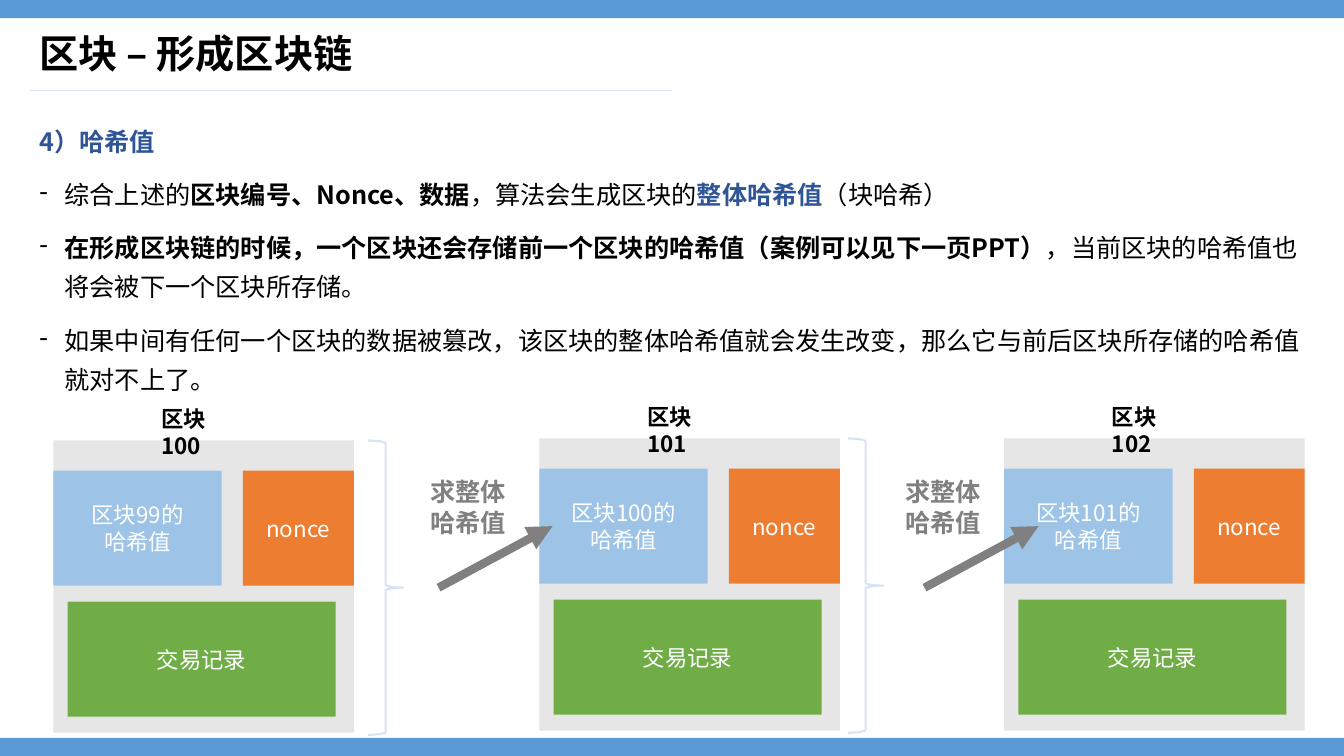
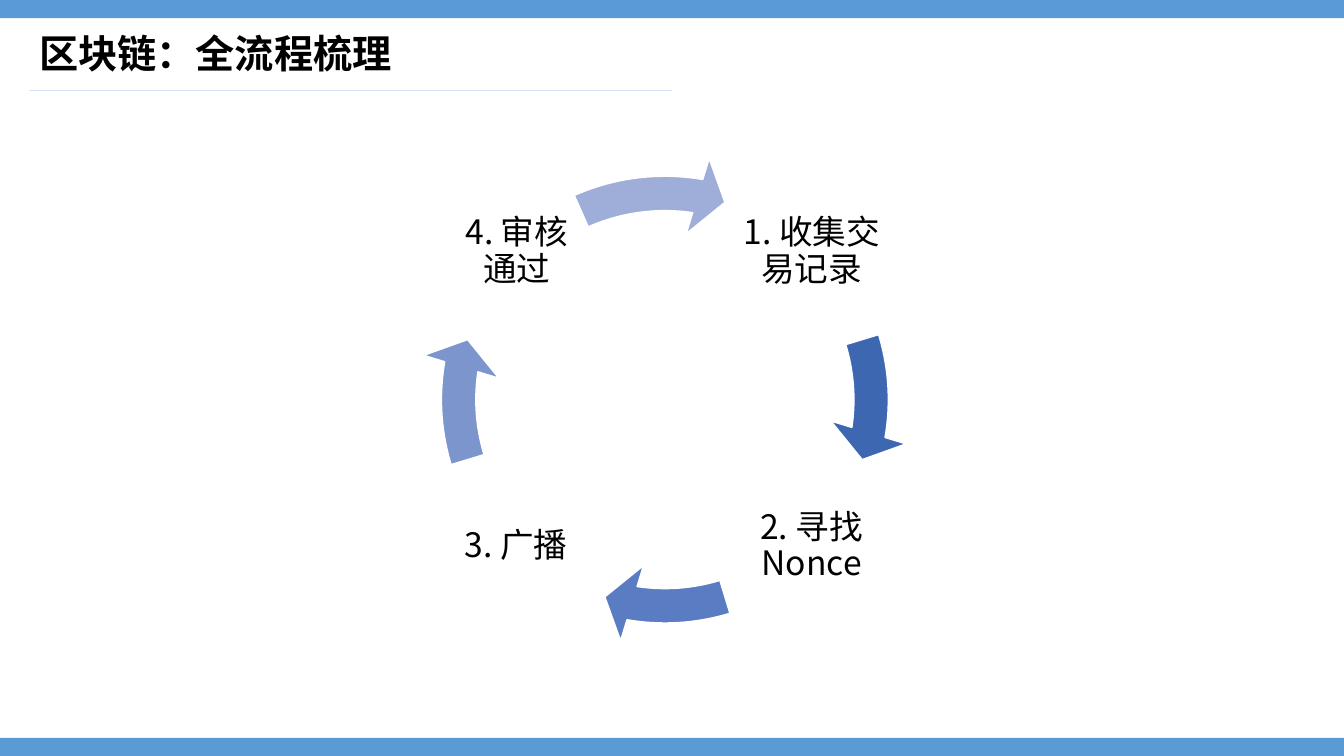
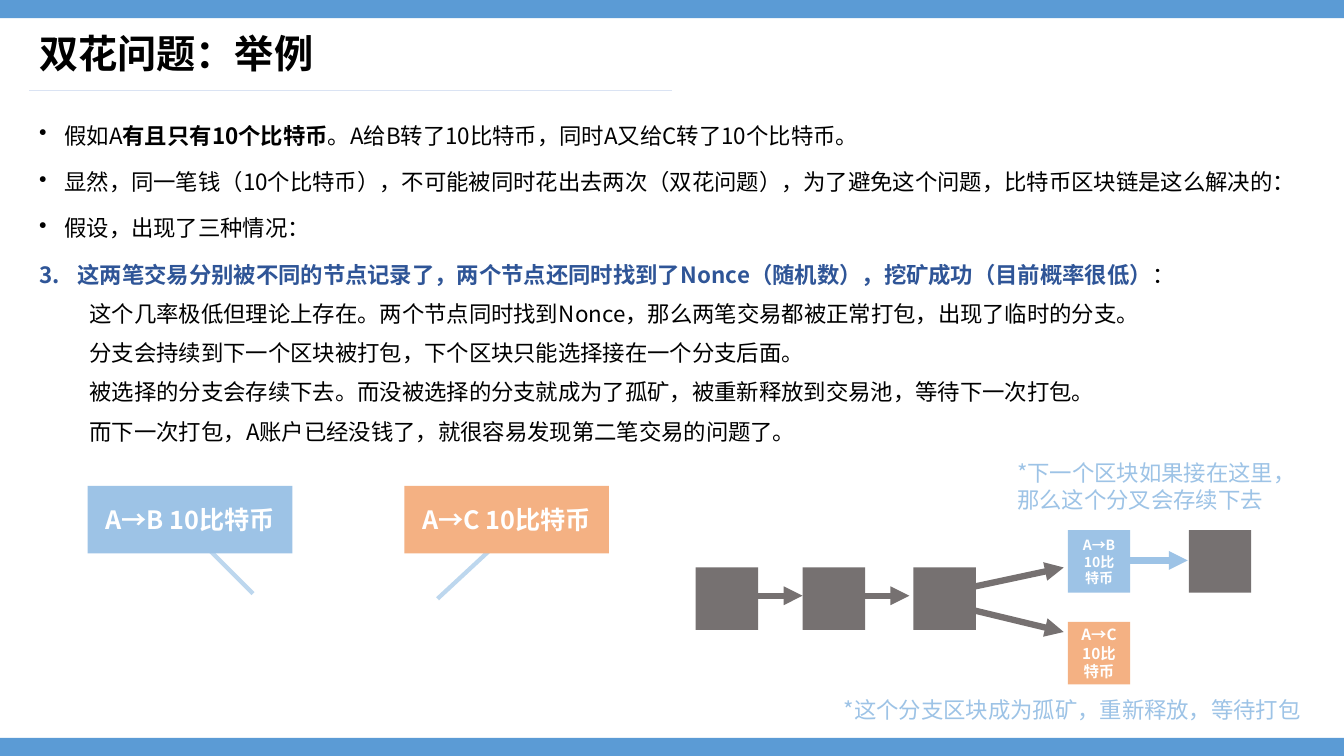
from dataclasses import dataclass

from lxml.etree import SubElement
from pptx import Presentation
from pptx.dml.color import RGBColor
from pptx.enum.shapes import MSO_CONNECTOR, MSO_SHAPE
from pptx.enum.text import MSO_ANCHOR, PP_ALIGN
from pptx.oxml.ns import qn
from pptx.util import Inches, Pt


@dataclass(frozen=True)
class Theme:
    font: str = "Noto Sans CJK SC"
    # Colours
    band: str = "5B9BD5"
    rule: str = "DAE3F3"
    text: str = "000000"
    key: str = "2F5597"
    white: str = "FFFFFF"
    panel: str = "E7E6E6"
    sky: str = "9DC3E6"
    pale_sky: str = "BDD7EE"
    orange: str = "ED7D31"
    peach: str = "F4B183"
    green: str = "70AD47"
    grey: str = "808080"
    stone: str = "767171"
    cycle: tuple = ("3E67B2", "5A7CC3", "7D95CD", "9FAED8")
    # Type sizes
    title: int = 28
    step: int = 24
    large: int = 18
    normal: int = 16


THEME = Theme()
BOLD = {"bold": True}
KEY = {"bold": True, "color": THEME.key}


@dataclass
class Item:
    """One paragraph: runs are strings or (string, format) pairs."""
    runs: list
    left: float = 0
    hanging: float = 0
    before: float = 0
    bullet: str = ""
    number: int = 0


def rgb(value):
    return RGBColor.from_string(value)


def format_run(run, size, color, bold):
    run.font.size = Pt(size)
    run.font.bold = bold
    run.font.color.rgb = rgb(color)
    run.font.name = THEME.font
    SubElement(run.font._element, qn("a:ea"), typeface=THEME.font)


def format_indent(paragraph, item):
    properties = paragraph._p.get_or_add_pPr()
    properties.set("marL", str(Inches(item.left)))
    properties.set("indent", str(Inches(-item.hanging)))
    if item.bullet:
        SubElement(properties, qn("a:buChar"), char=item.bullet)
    elif item.number:
        SubElement(properties, qn("a:buAutoNum"), type="arabicPeriod",
                   startAt=str(item.number))


def write_text(shape, items, size=THEME.normal, color=THEME.text, bold=False,
               align=PP_ALIGN.LEFT, anchor=MSO_ANCHOR.TOP, spacing=1.0,
               inset=None, wrap=True):
    frame = shape.text_frame
    frame.word_wrap = wrap
    frame.vertical_anchor = anchor
    if inset is not None:
        frame.margin_left = frame.margin_right = Inches(inset)
        frame.margin_top = frame.margin_bottom = Inches(inset)
    for index, item in enumerate(items):
        if isinstance(item, str):
            item = Item([item])
        paragraph = frame.add_paragraph() if index else frame.paragraphs[0]
        paragraph.alignment = align
        paragraph.line_spacing = spacing
        paragraph.space_before = Pt(item.before if index else 0)
        format_indent(paragraph, item)
        for part in item.runs:
            text, changes = (part, {}) if isinstance(part, str) else part
            run = paragraph.add_run()
            run.text = text
            format_run(run, **{"size": size, "color": color, "bold": bold, **changes})


def add_text(slide, box, items, **text_format):
    shape = slide.shapes.add_textbox(*map(Inches, box))
    write_text(shape, items, **text_format)


def add_box(slide, box, fill=None, items=(), kind=MSO_SHAPE.RECTANGLE,
            line=None, width=1, **text_format):
    shape = slide.shapes.add_shape(kind, *map(Inches, box))
    shape.shadow.inherit = False
    if fill:
        shape.fill.solid()
        shape.fill.fore_color.rgb = rgb(fill)
    else:
        shape.fill.background()
    if line:
        shape.line.color.rgb = rgb(line)
        shape.line.width = Pt(width)
    else:
        shape.line.fill.background()
    if items:
        write_text(shape, items, **{"color": THEME.white, "align": PP_ALIGN.CENTER,
                                    "anchor": MSO_ANCHOR.MIDDLE, **text_format})
    return shape


def add_line(slide, start, end, color, width, arrow=False):
    connector = slide.shapes.add_connector(
        MSO_CONNECTOR.STRAIGHT, *map(Inches, (*start, *end)))
    connector.line.color.rgb = rgb(color)
    connector.line.width = Pt(width)
    if arrow:
        SubElement(connector.line._get_or_add_ln(), qn("a:tailEnd"), type="triangle")
    SubElement(connector._element.spPr, qn("a:effectLst"))


def add_page(presentation, title):
    slide = presentation.slides.add_slide(presentation.slide_layouts[6])
    for top in (7.32, 0):
        add_box(slide, (0, top, 13.33, 0.18), THEME.band)
    add_line(slide, (0.29, 0.9), (6.67, 0.9), THEME.rule, 0.5)
    add_text(slide, (0.29, 0.27, 11.5, 0.54), [title], size=THEME.title,
             bold=True, spacing=0.9, anchor=MSO_ANCHOR.BOTTOM)
    return slide


# Slide 1: chain of blocks
def add_block(slide, left, top, number):
    add_box(slide, (left, top, 2.98, 2.9), THEME.panel)
    add_box(slide, (left, top + 0.3, 1.67, 1.14), THEME.sky,
            [f"区块{number - 1}的", "哈希值"])
    add_box(slide, (left + 1.88, top + 0.3, 1.1, 1.14), THEME.orange, ["nonce"])
    add_box(slide, (left + 0.14, top + 1.6, 2.66, 1.14), THEME.green, ["交易记录"])
    add_text(slide, (left + 0.97, top - 0.4, 0.95, 0.37), [f"区块{number}"], bold=True)


def add_hash_link(slide, left, top, label_left, arrow_left):
    add_box(slide, (left, top, 0.35, 2.92), kind=MSO_SHAPE.RIGHT_BRACE,
            line=THEME.rule, width=1.5)
    add_line(slide, (arrow_left, 5.83), (arrow_left + 1.13, 5.22), THEME.grey, 6, True)
    add_text(slide, (label_left, 4.68, 1.06, 0.71), ["求整体哈希值"],
             size=THEME.large, color=THEME.grey, bold=True)


def build_chain(presentation):
    slide = add_page(presentation, "区块 – 形成区块链")
    dash = {"left": 0.25, "hanging": 0.25, "before": 10, "bullet": "‐"}
    add_text(slide, (0.29, 1.11, 12.89, 6.02), [
        Item([("4）哈希值", KEY)]),
        Item(["综合上述的", ("区块编号、Nonce、数据", BOLD), "，算法会生成区块的",
              ("整体哈希值", KEY), "（块哈希）"], **dash),
        Item([("在形成区块链的时候，一个区块还会存储前一个区块的哈希值"
               "（案例可以见下一页PPT）", BOLD),
              "，当前区块的哈希值也将会被下一个区块所存储。"], **dash),
        Item(["如果中间有任何一个区块的数据被篡改，该区块的整体哈希值就会发生改变，"
              "那么它与前后区块所存储的哈希值就对不上了。"], **dash),
    ], size=THEME.large, spacing=1.3)
    blocks = ((0.53, 4.37), (5.35, 4.35), (9.96, 4.35))
    for number, (left, top) in enumerate(blocks, 100):
        add_block(slide, left, top, number)
    add_hash_link(slide, 3.65, 4.37, 4.17, 4.35)
    add_hash_link(slide, 8.41, 4.35, 8.88, 9.17)


# Slide 2: cycle of four steps
def build_cycle(presentation):
    slide = add_page(presentation, "区块链：全流程梳理")
    steps = (
        ("1. 收集交易记录", 7.19, 1.64, 1.72, 205.85),
        ("2. 寻找Nonce", 7.19, 4.56, 1.72, 43.85),
        ("3. 广播", 4.26, 4.56, 1.72, 97.85),
        ("4. 审核通过", 4.5, 1.64, 1.25, 147.66),
    )
    for index, (label, left, top, width, start_angle) in enumerate(steps):
        add_text(slide, (left, top, width, 1.72), [label], size=THEME.step,
                 align=PP_ALIGN.CENTER, anchor=MSO_ANCHOR.MIDDLE,
                 spacing=0.9, inset=0.03)
        arrow = add_box(slide, (4.16, 1.53, 4.87, 4.87), THEME.cycle[index],
                        kind=MSO_SHAPE.CIRCULAR_ARROW, line=THEME.white)
        adjustments = (0.07, 4.65, 5.5 + 54 * index, start_angle, 0.08)
        for position, value in enumerate(adjustments):
            arrow.adjustments[position] = value


# Slide 3: double spending
def add_transfers(slide, left, top):
    add_line(slide, (left + 4.44, top + 0.22), (left + 3.47, top + 1.12),
             THEME.pale_sky, 3)
    add_line(slide, (left + 0.92, top + 0.35), (left + 1.64, top + 1.07),
             THEME.pale_sky, 3)
    transfers = (("A→B 10比特币", THEME.sky), ("A→C 10比特币", THEME.peach))
    for index, (label, fill) in enumerate(transfers):
        add_box(slide, (left + 3.14 * index, top, 2.03, 0.67), fill, [label],
                size=THEME.large, bold=True)


def add_fork(slide, left, top):
    side = 0.62

    def node(x, y, fill=THEME.stone, label="", size=10):
        add_box(slide, (left + x, top + y, side, side), fill,
                [label] if label else (), size=size, bold=True)

    def arrow(start, end, color=THEME.stone):
        add_line(slide, (left + start[0], top + start[1]),
                 (left + end[0], top + end[1]), color, 4.5, True)

    # Common blocks
    for x in (0, 1.06, 2.16):
        node(x, 0.37)
    for x in (0.18, 1.24):
        arrow((x, 0.65), (x + 0.88, 0.65))
    # Two branches
    arrow((4, 0.3), (4.88, 0.3), THEME.sky)
    arrow((2.34, 0.65), (3.65, 0.37))
    arrow((2.24, 0.67), (3.65, 1.01))
    node(3.69, 0, THEME.sky, "A→B 10比特币")
    node(3.69, 0.91, THEME.peach, "A→C 10比特币", 11)
    node(4.89, 0)


def build_double_spend(presentation):
    slide = add_page(presentation, "双花问题：举例")
    dot = {"left": 0.25, "hanging": 0.25, "before": 10, "bullet": "•"}
    details = (
        "这个几率极低但理论上存在。两个节点同时找到Nonce，那么两笔交易都被正常打包，出现了临时的分支。",
        "分支会持续到下一个区块被打包，下个区块只能选择接在一个分支后面。",
        "被选择的分支会存续下去。而没被选择的分支就成为了孤矿，被重新释放到交易池，等待下一次打包。",
        "而下一次打包，A账户已经没钱了，就很容易发现第二笔交易的问题了。",
    )
    add_text(slide, (0.29, 1.11, 12.89, 3.37), [
        Item(["假如A", ("有且只有10个比特币", BOLD),
              "。A给B转了10比特币，同时A又给C转了10个比特币。"], **dot),
        Item(["显然，同一笔钱（10个比特币），不可能被同时花出去两次（双花问题），"
              "为了避免这个问题，比特币区块链是这么解决的："], **dot),
        Item(["假设，出现了三种情况："], **dot),
        Item([("这两笔交易分别被不同的节点记录了，两个节点还同时找到了Nonce"
               "（随机数），挖矿成功（目前概率很低）", KEY), "："],
             left=0.38, hanging=0.38, before=10, number=3),
        *(Item([detail], left=0.5, before=5) for detail in details),
    ], spacing=1.2)
    add_transfers(slide, 0.87, 4.82)
    add_text(slide, (9.99, 4.51, 3, 0.64),
             ["*下一个区块如果接在这里，", "那么这个分叉会存续下去"],
             color=THEME.sky, wrap=False)
    add_text(slide, (8.27, 6.86, 5.06, 0.37),
             ["*这个分支区块成为孤矿，重新释放，等待打包"], color=THEME.sky)
    add_fork(slide, 6.9, 5.26)


def main():
    presentation = Presentation()
    presentation.slide_width = Inches(13.33)
    presentation.slide_height = Inches(7.5)
    build_chain(presentation)
    build_cycle(presentation)
    build_double_spend(presentation)
    presentation.save("out.pptx")


if __name__ == "__main__":
    main()
